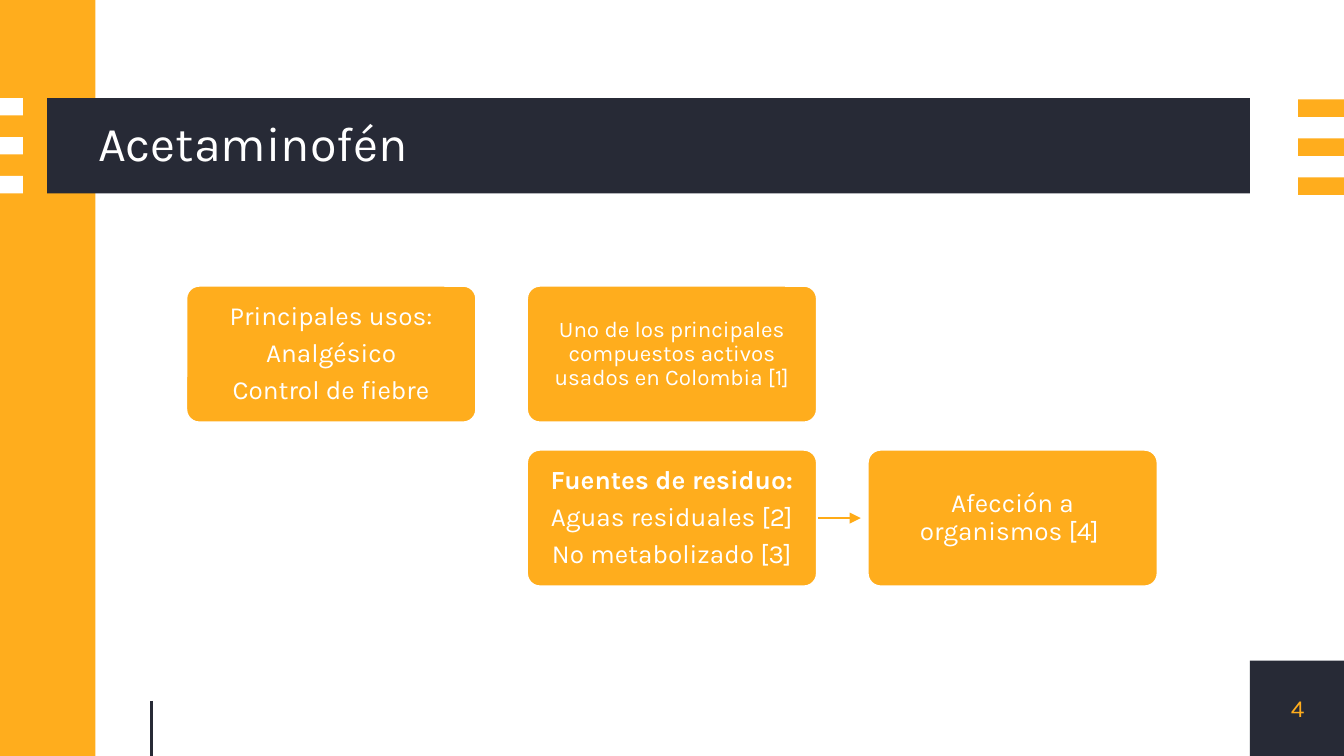
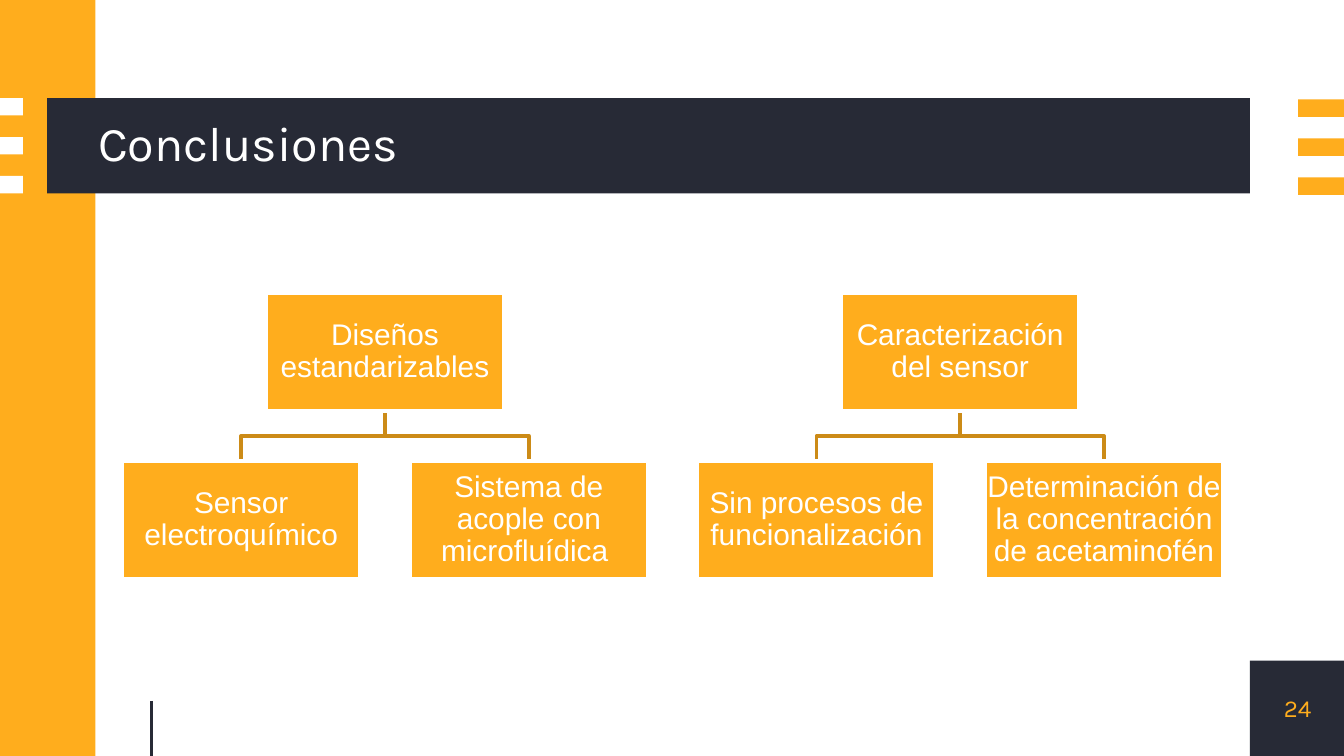
from collections import namedtuple

from lxml import etree
from pptx import Presentation
from pptx.dml.color import RGBColor
from pptx.enum.shapes import MSO_CONNECTOR, MSO_SHAPE
from pptx.enum.text import MSO_ANCHOR, PP_ALIGN
from pptx.oxml.ns import qn
from pptx.util import Inches, Pt

RECT = MSO_SHAPE.RECTANGLE
ROUNDED = MSO_SHAPE.ROUNDED_RECTANGLE
STRAIGHT = MSO_CONNECTOR.STRAIGHT
MIDDLE = MSO_ANCHOR.MIDDLE
LEFT, CENTER = PP_ALIGN.LEFT, PP_ALIGN.CENTER

WIDTH = 10
HEIGHT = WIDTH * 9 / 16
NAVY, AMBER, WHITE = "272A36", "FFAD1D", "FFFFFF"
ARROW, BRANCH = "FFAB17", "CC8B17"
BRAND_FONT, TREE_FONT = "Karla", "Arial"
SQUARE = 0.71
BAND_TOP = 0.73

Box = namedtuple("Box", "left top width height")


def color(hex_code):
    return RGBColor.from_string(hex_code)


def grid_cell(area, column, row, columns, rows, size):
    width, height = size
    return Box(
        area.left + column * (area.width - width) / (columns - 1),
        area.top + row * (area.height - height) / (rows - 1),
        width,
        height,
    )


def add_block(page, box, fill, kind=RECT, outline=None):
    shape = page.shapes.add_shape(kind, *map(Inches, box))
    shape.shadow.inherit = False
    shape.fill.solid()
    shape.fill.fore_color.rgb = color(fill)
    if outline:
        shape.line.color.rgb = color(outline)
        shape.line.width = Pt(2)
    else:
        shape.line.fill.background()
    return shape


def write(shape, text, size, font=BRAND_FONT, ink=WHITE, align=CENTER,
          inset=0, indent=None, spacing=0.9, gap=0, bold_first=False):
    frame = shape.text_frame
    frame.word_wrap = True
    frame.vertical_anchor = MIDDLE
    frame.margin_top = frame.margin_bottom = frame.margin_right = Inches(inset)
    frame.margin_left = Inches(inset if indent is None else indent)
    lines = text.split("\n")
    for index, line in enumerate(lines):
        para = frame.paragraphs[0] if index == 0 else frame.add_paragraph()
        para.alignment = align
        para.line_spacing = spacing
        if index < len(lines) - 1:
            para.space_after = Pt(gap)
        span = para.add_run()
        span.text = line
        span.font.name = font
        span.font.size = Pt(size)
        span.font.color.rgb = color(ink)
        span.font.bold = bold_first and index == 0


def add_line(page, start, end, ink, weight, arrow=False):
    points = map(Inches, (*start, *end))
    connector = page.shapes.add_connector(STRAIGHT, *points)
    connector.line.color.rgb = color(ink)
    connector.line.width = Pt(weight)
    properties = connector._element.spPr
    if arrow:
        outline = properties.find(qn("a:ln"))
        etree.SubElement(outline, qn("a:tailEnd"), type="triangle")
    etree.SubElement(properties, qn("a:effectLst"))


def add_stripes(page, left, top, width, fill):
    for index in range(3):
        add_block(page, Box(left, top + index * 0.29, width, 0.13), fill)


def add_frame(page, title, number):
    corner = Box(WIDTH - 0.7, HEIGHT - SQUARE, SQUARE, SQUARE)
    corner_block = add_block(page, corner, NAVY)
    write(corner_block, number, 13, ink=AMBER, spacing=1)
    add_block(page, Box(0, 0, SQUARE, HEIGHT), AMBER)
    band = add_block(page, Box(0.35, BAND_TOP, 8.95, SQUARE), NAVY)
    write(band, title, 26, align=LEFT, indent=0.38)
    add_stripes(page, 0, BAND_TOP, 0.17, WHITE)
    add_stripes(page, WIDTH - 0.34, BAND_TOP + 0.01, 0.34, AMBER)
    add_line(page, (1.13, HEIGHT - 0.41), (1.13, HEIGHT), NAVY, 1.5)


def add_facts(page, area):
    size = (2.17, 1.03)
    facts = [
        (0, 0, "Principales usos:\nAnalgésico\nControl de fiebre", 14, False),
        (1, 0, "Uno de los principales compuestos activos usados en "
               "Colombia [1]", 12, False),
        (1, 1, "Fuentes de residuo:\nAguas residuales [2]\n"
               "No metabolizado [3]", 14, True),
        (2, 1, "Afección a organismos [4] ", 14, False),
    ]
    for column, row, text, points, bold_first in facts:
        box = grid_cell(area, column, row, 3, 2, size)
        card = add_block(page, box, AMBER, ROUNDED, WHITE)
        card.adjustments[0] = 0.1
        write(card, text, points, inset=0.09 if points == 14 else 0.08,
              gap=4.9, bold_first=bold_first)
    source = grid_cell(area, 1, 1, 3, 2, size)
    start = source.left + source.width
    middle = source.top + source.height / 2
    add_line(page, (start, middle), (start + 0.32, middle), ARROW, 0.75, True)


def add_branch(page, parent, child):
    start_x = parent.left + parent.width / 2
    start_y = parent.top + parent.height
    end_x = child.left + child.width / 2
    bend_y = (start_y + child.top) / 2
    builder = page.shapes.build_freeform(Inches(start_x), Inches(start_y))
    route = [(start_x, bend_y), (end_x, bend_y), (end_x, child.top)]
    builder.add_line_segments(
        [(Inches(x), Inches(y)) for x, y in route], close=False)
    branch = builder.convert_to_shape()
    branch.shadow.inherit = False
    branch.fill.background()
    branch.line.color.rgb = color(BRANCH)
    branch.line.width = Pt(2)


def add_trees(page, area):
    size = (1.77, 0.88)
    trees = [
        ("Diseños estandarizables",
         ["Sensor electroquímico", "Sistema de acople con microfluídica "]),
        ("Caracterización del sensor",
         ["Sin procesos de funcionalización",
          "Determinación de la concentración de acetaminofén"]),
    ]
    for index, (topic, details) in enumerate(trees):
        first = 2 * index
        parent = grid_cell(area, first + 0.5, 0, 4, 2, size)
        children = [grid_cell(area, first + side, 1, 4, 2, size)
                    for side in range(len(details))]
        for child in children:
            add_branch(page, parent, child)
        for box, text in zip([parent, *children], [topic, *details]):
            node = add_block(page, box, AMBER, outline=WHITE)
            write(node, text, 16, font=TREE_FONT, inset=0.01)


def main():
    deck = Presentation()
    deck.slide_width, deck.slide_height = Inches(WIDTH), Inches(HEIGHT)
    pages = [
        ("Acetaminofén", "4", add_facts, Box(1.38, 2.12, 7.24, 2.25)),
        ("Conclusiones", "24", add_trees, Box(0.91, 2.18, 8.19, 2.13)),
    ]
    for title, number, add_content, area in pages:
        page = deck.slides.add_slide(deck.slide_layouts[6])
        add_frame(page, title, number)
        add_content(page, area)
    deck.save("out.pptx")


if __name__ == "__main__":
    main()
